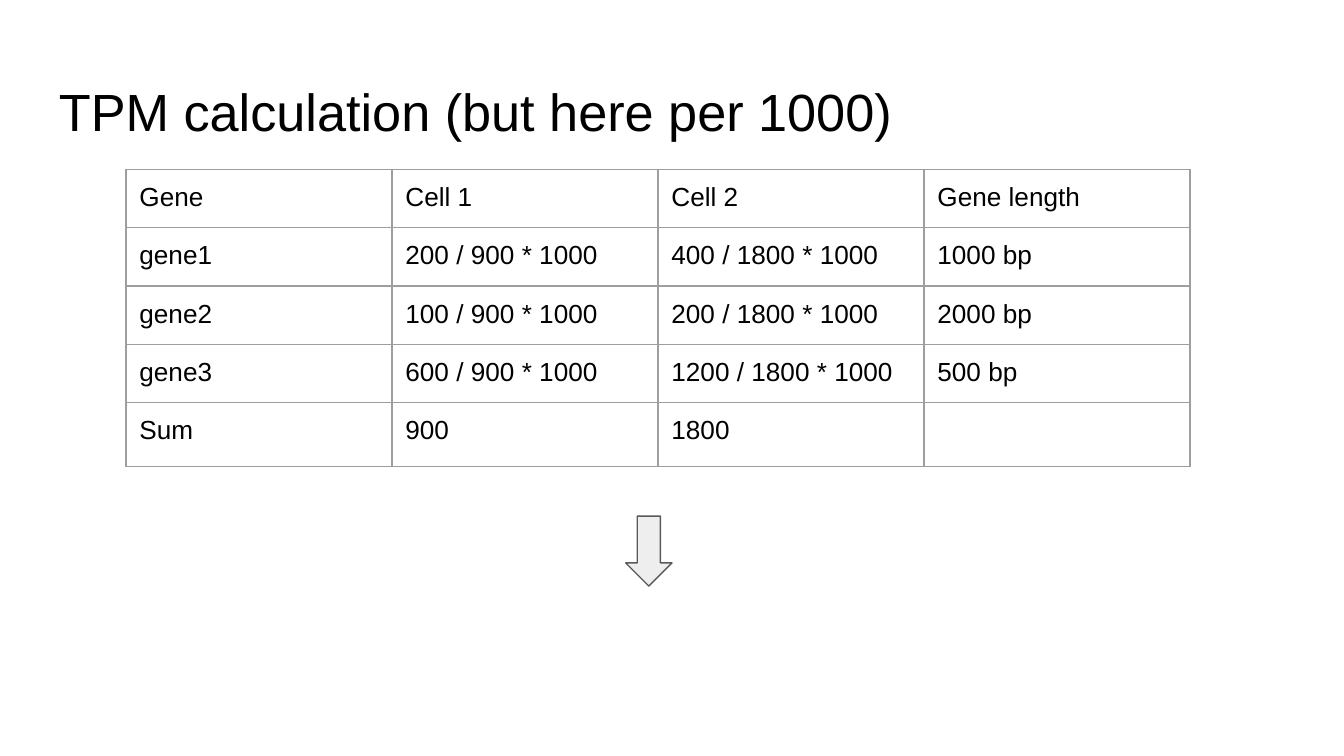
from lxml import etree
from pptx import Presentation
from pptx.dml.color import RGBColor
from pptx.enum.shapes import MSO_SHAPE
from pptx.enum.text import MSO_ANCHOR
from pptx.oxml.ns import qn
from pptx.util import Pt

DOWN_ARROW = MSO_SHAPE.DOWN_ARROW
TOP = MSO_ANCHOR.TOP

FONT = "Arial"
BLACK = "000000"
BORDER = "9E9E9E"
ARROW_FILL = "EEEEEE"
ARROW_LINE = "595959"
INSET = 7.2
LINE_WIDTH = 0.75

ROWS = [
    ("Gene", "Cell 1", "Cell 2", "Gene length"),
    ("gene1", "200 / 900 * 1000", "400 / 1800 * 1000", "1000 bp"),
    ("gene2", "100 / 900 * 1000", "200 / 1800 * 1000", "2000 bp"),
    ("gene3", "600 / 900 * 1000", "1200 / 1800 * 1000", "500 bp"),
    ("Sum", "900", "1800", ""),
]


def color(value):
    return RGBColor.from_string(value)


def set_font(paragraph, size):
    paragraph.font.name = FONT
    paragraph.font.size = Pt(size)
    paragraph.font.color.rgb = color(BLACK)


def set_insets(target):
    target.margin_left = target.margin_right = Pt(INSET)
    target.margin_top = target.margin_bottom = Pt(INSET)


def set_borders(cell):
    properties = cell._tc.get_or_add_tcPr()
    for side in ("a:lnL", "a:lnR", "a:lnT", "a:lnB"):
        line = etree.SubElement(properties, qn(side), w=str(Pt(LINE_WIDTH)))
        fill = etree.SubElement(line, qn("a:solidFill"))
        etree.SubElement(fill, qn("a:srgbClr"), val=BORDER)


def add_title(slide, left, top, width, height):
    box = slide.shapes.add_textbox(Pt(left), Pt(top), Pt(width), Pt(height))
    frame = box.text_frame
    frame.word_wrap = True
    frame.vertical_anchor = TOP
    set_insets(frame)
    frame.text = "TPM calculation (but here per 1000)"
    set_font(frame.paragraphs[0], 28)


def add_gene_table(slide, left, top, width, height):
    table = slide.shapes.add_table(
        len(ROWS), len(ROWS[0]), Pt(left), Pt(top), Pt(width), Pt(height)
    ).table
    table.first_row = False
    table.horz_banding = False

    # Equal rows, with the sum row taking what is left
    row_height = 30.2
    for row in table.rows:
        row.height = Pt(row_height)
    sum_height = height - row_height * (len(ROWS) - 1)
    table.rows[len(ROWS) - 1].height = Pt(sum_height)

    for row_index, texts in enumerate(ROWS):
        for column_index, text in enumerate(texts):
            cell = table.cell(row_index, column_index)
            set_insets(cell)
            set_borders(cell)
            cell.fill.background()
            cell.text = text
            set_font(cell.text_frame.paragraphs[0], 14)


def add_down_arrow(slide, left, top, width, height):
    arrow = slide.shapes.add_shape(
        DOWN_ARROW, Pt(left), Pt(top), Pt(width), Pt(height)
    )
    arrow.shadow.inherit = False
    arrow.fill.solid()
    arrow.fill.fore_color.rgb = color(ARROW_FILL)
    arrow.line.color.rgb = color(ARROW_LINE)
    arrow.line.width = Pt(LINE_WIDTH)


def main():
    presentation = Presentation()
    presentation.slide_width = Pt(720)
    presentation.slide_height = Pt(405)
    slide = presentation.slides.add_slide(presentation.slide_layouts[6])

    # Title
    add_title(slide, 24.5, 35, 671, 45.1)
    # Calculation per gene and cell
    add_gene_table(slide, 67.5, 90.7, 570, 155)
    # Arrow to the next step
    add_down_arrow(slide, 335.2, 276.5, 24.8, 37.5)

    presentation.save("out.pptx")


if __name__ == "__main__":
    main()
